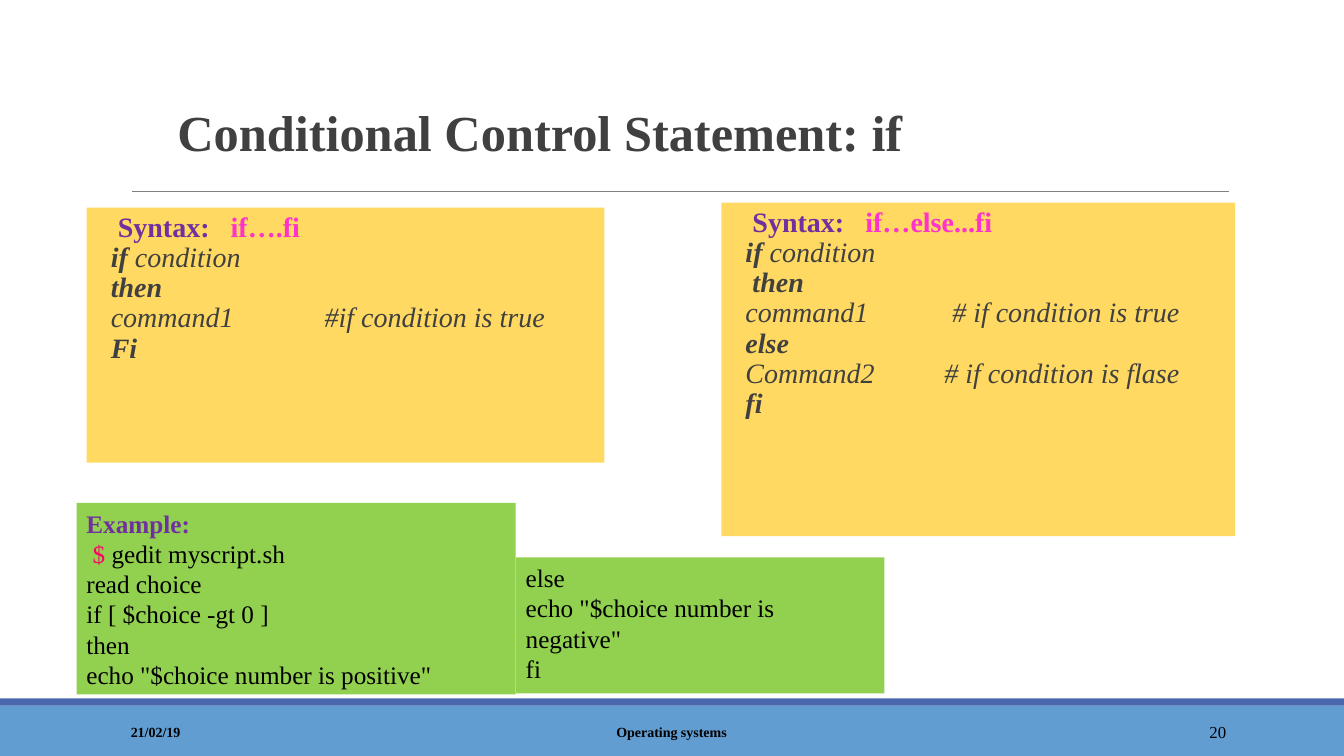
from lxml.etree import SubElement
from pptx import Presentation
from pptx.dml.color import RGBColor
from pptx.enum.shapes import MSO_CONNECTOR, MSO_SHAPE
from pptx.enum.text import MSO_ANCHOR, MSO_AUTO_SIZE, PP_ALIGN
from pptx.oxml.ns import qn
from pptx.util import Inches, Pt

FONT = "Times New Roman"
BLACK, GREY, PURPLE = "000000", "404040", "7030A0"
PINK, RED = "FF33CC", "FF0066"
YELLOW, GREEN = "FFD961", "92D050"
LINE_PITCH = Pt(21.6)
HEADING_TAB, COMMENT_TAB = (1.19, "l"), (4.31, "r")


def paint(color_format, color):
    """Apply a hex colour to a fill, line or font."""
    color_format.rgb = RGBColor.from_string(color)


def add_span(para, text, size=20, color=GREY, bold=False, italic=False):
    """Add formatted text to a paragraph."""
    span = para.add_run()
    span.text = text
    span.font.name = FONT
    span.font.size = Pt(size)
    span.font.bold = bold
    span.font.italic = italic
    paint(span.font.color, color)


def set_frame(frame, anchor=MSO_ANCHOR.TOP, left=0.1, right=0.1):
    """Set wrapping, anchor and insets of a text frame."""
    frame.word_wrap = True
    frame.auto_size = MSO_AUTO_SIZE.NONE
    frame.vertical_anchor = anchor
    frame.margin_left, frame.margin_right = Inches(left), Inches(right)
    frame.margin_top = frame.margin_bottom = Inches(0.05)


def write_lines(frame, lines):
    """Write lines, each a list of (text, format) spans."""
    for index, line in enumerate(lines):
        para = frame.add_paragraph() if index else frame.paragraphs[0]
        para.alignment = PP_ALIGN.LEFT
        para.line_spacing = LINE_PITCH
        if any("\t" in text for text, style in line):
            position, side = COMMENT_TAB if index else HEADING_TAB
            stops = SubElement(para._p.get_or_add_pPr(), qn("a:tabLst"))
            SubElement(stops, qn("a:tab"), pos=str(int(Inches(position))), algn=side)
        for text, style in line:
            add_span(para, text, **style)


def add_bar(page, box, color):
    """Add a plain rectangle."""
    bar = page.shapes.add_shape(MSO_SHAPE.RECTANGLE, *map(Inches, box))
    bar.shadow.inherit = False
    bar.fill.solid()
    paint(bar.fill.fore_color, color)
    bar.line.fill.background()
    return bar


def write_title(page, box, text):
    """Place the title and the rule under it."""
    title = page.shapes.title
    title.left, title.top, title.width, title.height = map(Inches, box)
    set_frame(title.text_frame, MSO_ANCHOR.BOTTOM)
    para = title.text_frame.paragraphs[0]
    para.alignment = PP_ALIGN.LEFT
    para.line_spacing = 0.85
    add_span(para, text, size=36, bold=True)
    left, top, width, height = box
    rule_top = Inches(top + height + 0.24)
    rule = page.shapes.add_connector(
        MSO_CONNECTOR.STRAIGHT, Inches(left - 0.35), rule_top, Inches(left + 10.54), rule_top)
    paint(rule.line.color, "808080")
    rule.line.width = Pt(0.5)
    SubElement(rule._element.spPr, qn("a:effectLst"))


def add_syntax(page, box, form, code):
    """Add a yellow panel with a syntax heading and its code."""
    panel = add_bar(page, box, YELLOW)
    set_frame(panel.text_frame, left=0.24, right=0)
    heading = [(" Syntax:\t", dict(color=PURPLE, bold=True)), (form, dict(color=PINK, bold=True))]
    lines = [[(text, dict(bold=bold, italic=True)) for text, bold in line] for line in code]
    write_lines(panel.text_frame, [heading] + lines)


def add_example(page, box, lines):
    """Add a green panel of example code."""
    panel = add_bar(page, box, GREEN)
    set_frame(panel.text_frame)
    write_lines(panel.text_frame, lines)


def add_footer(page, box):
    """Add the footer band with date, course and page number."""
    left, top, width, height = box
    add_bar(page, (left, top + 0.07, width, height - 0.07), "629DD1")
    add_bar(page, (left, top, width, 0.07), "4A66AC")
    labels = [
        (1.2, 2.7, "21/02/19", PP_ALIGN.LEFT, 10, True),
        (4.03, 5.27, "Operating systems", PP_ALIGN.CENTER, 10, True),
        (10.83, 1.44, "20", PP_ALIGN.RIGHT, 12, False),
    ]
    for offset, label_width, text, alignment, size, bold in labels:
        label = page.shapes.add_textbox(
            Inches(left + offset), Inches(top + 0.13), Inches(label_width), Inches(0.4))
        set_frame(label.text_frame, MSO_ANCHOR.MIDDLE)
        para = label.text_frame.paragraphs[0]
        para.alignment = alignment
        add_span(para, text, size=size, color=BLACK, bold=bold)


def build_slide(deck):
    """Build the slide about the if statement."""
    page = deck.slides.add_slide(deck.slide_layouts[5])
    code = dict(size=18, color=BLACK)
    condition = [("if", True), (" condition", False)]
    add_footer(page, (0, 6.93, 13.34, 0.57))
    write_title(page, (1.66, 0.85, 11, 0.81), "Conditional Control Statement: if")
    add_syntax(page, (0.86, 2.06, 5.14, 2.53), "if….fi", [
        condition,
        [("then", True)],
        [("command1\t#if condition is true", False)],
        [("Fi", True)],
    ])
    add_syntax(page, (7.16, 2.01, 5.1, 3.31), "if…else...fi", [
        condition,
        [(" then", True)],
        [("command1\t# if condition is true", False)],
        [("else", True)],
        [("Command2\t# if condition is flase", False)],
        [("fi", True)],
    ])
    script = ["read choice", "if [ $choice -gt 0 ]", "then", 'echo "$choice number is positive"']
    add_example(page, (0.76, 4.99, 4.36, 1.9), [
        [("Example:", dict(size=18, color=PURPLE, bold=True))],
        [(" $ ", dict(size=18, color=RED)), ("gedit myscript.sh", code)],
    ] + [[(line, code)] for line in script])
    ending = ["else", 'echo "$choice number is negative"', "fi"]
    add_example(page, (5.12, 5.53, 3.66, 1.35), [[(line, code)] for line in ending])


def main():
    """Create and save the deck."""
    deck = Presentation()
    deck.slide_width, deck.slide_height = Inches(13.34), Inches(7.5)
    build_slide(deck)
    deck.save("out.pptx")


if __name__ == "__main__":
    main()
